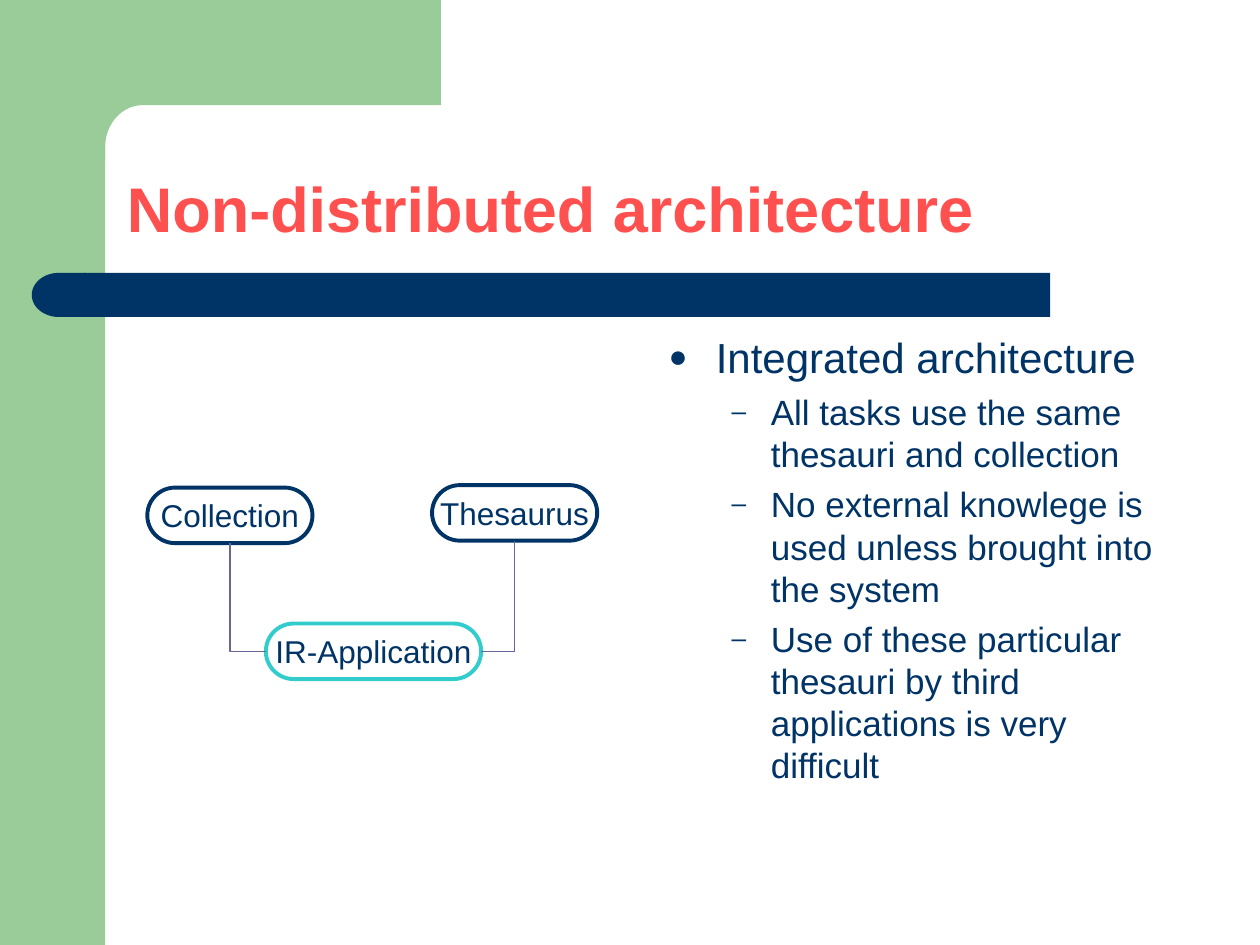
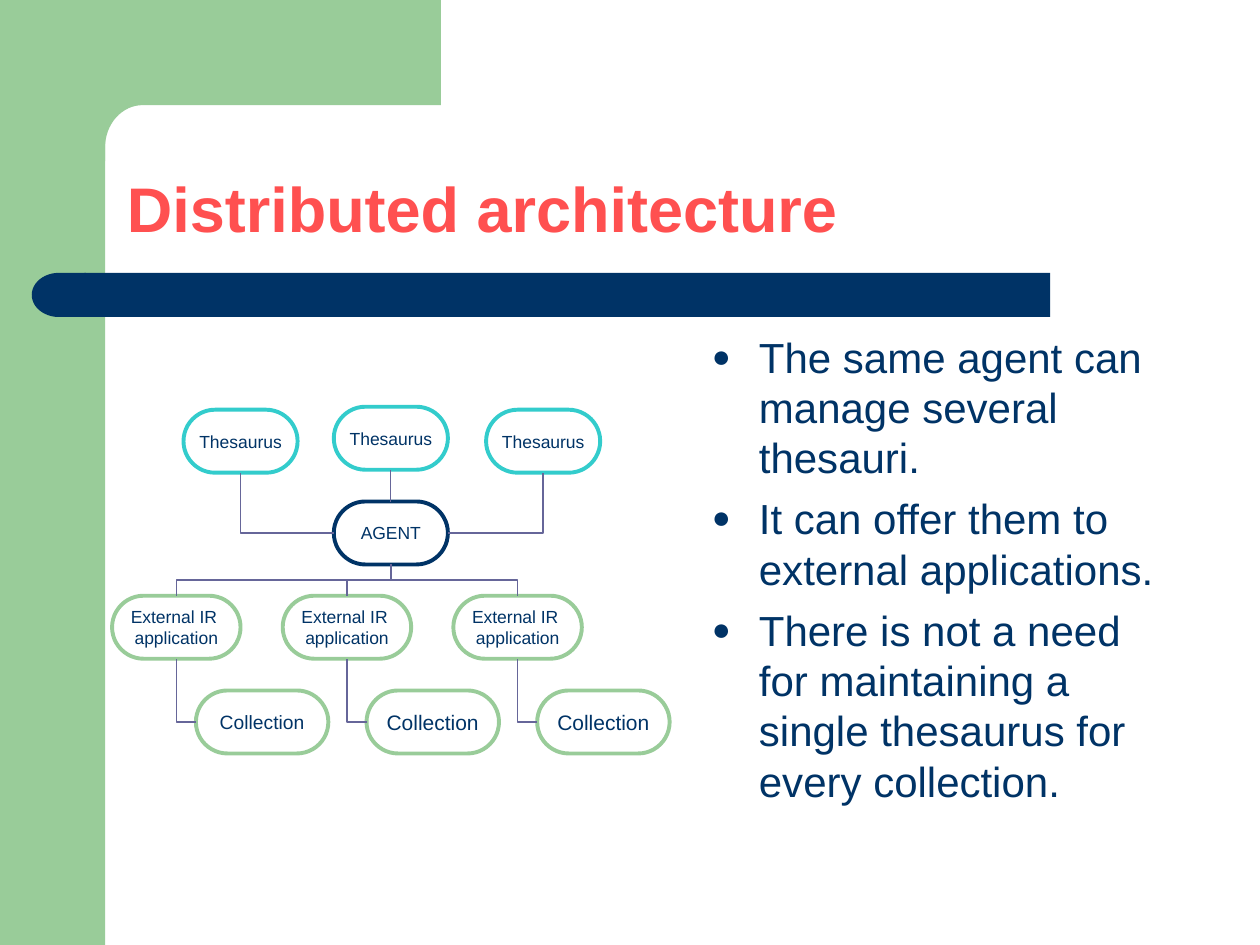
from dataclasses import dataclass
from math import cos, pi, sin

from lxml import etree
from pptx import Presentation
from pptx import util as u
from pptx.dml import color
from pptx.enum import shapes, text
from pptx.oxml import ns

Cm, Pt = u.Cm, u.Pt
Kind = shapes.MSO_SHAPE
TOP, LEFT, BASE, RIGHT = range(4)  # connection sites of a rounded box


@dataclass(frozen=True)
class Theme:
    font: str = "Arial"
    navy: str = "003366"
    green: str = "99CC99"
    teal: str = "33CCCC"
    red: str = "FF5050"
    link: str = "666699"
    head: int = 36
    main: int = 24
    sub: int = 20
    node: int = 18
    small: int = 10


class Deck:
    def __init__(self, theme):
        self.theme = theme
        self.prs = Presentation()
        self.prs.slide_width, self.prs.slide_height = Cm(25.4), Cm(19.05)
        self.slide = None

    def page(self, title):
        """Start a slide with its frame and title."""
        self.slide = self.prs.slides.add_slide(self.prs.slide_layouts[6])
        t = self.theme
        self.block(Kind.RECTANGLE, 0, 0, 2.12, 19.05, t.green)
        self.corner()
        self.block(Kind.RECTANGLE, 1.7, 5.5, 19.47, 0.89, t.navy)
        self.block(Kind.FLOWCHART_DELAY, 0.64, 5.5, 1.09, 0.89, t.navy).rotation = 180
        frame = self.box(2.31, 2.31, 21.62, 2.77)
        frame.vertical_anchor = text.MSO_ANCHOR.BOTTOM
        para = frame.paragraphs[0]
        para.line_spacing = 0.9
        self.run(para, title, t.head, t.red, bold=True)

    def paint(self, shape, fill):
        shape.shadow.inherit = False
        shape.fill.solid()
        shape.fill.fore_color.rgb = color.RGBColor.from_string(fill)
        shape.line.fill.background()

    def block(self, kind, x, y, w, h, fill):
        shape = self.slide.shapes.add_shape(kind, Cm(x), Cm(y), Cm(w), Cm(h))
        self.paint(shape, fill)
        return shape

    def corner(self):
        """Top band whose inner corner is rounded."""
        steps = 16
        turns = [pi / 2 * i / steps for i in range(steps + 1)]
        curve = [(2.88 - 0.76 * sin(a), 2.97 - 0.85 * cos(a)) for a in turns]
        spots = [(8.89, 2.12), *curve, (2.12, 3.25), (1.27, 3.25), (1.27, 0)]
        form = self.slide.shapes.build_freeform(Cm(8.89), 0)
        form.add_line_segments([(Cm(x), Cm(y)) for x, y in spots])
        self.paint(form.convert_to_shape(), self.theme.green)

    def box(self, x, y, w, h):
        frame = self.slide.shapes.add_textbox(Cm(x), Cm(y), Cm(w), Cm(h)).text_frame
        frame.word_wrap = True
        return frame

    def run(self, para, words, size, tint, bold=False):
        run = para.add_run()
        run.text = words
        font = run.font
        font.name, font.size, font.bold = self.theme.font, Pt(size), bold
        font.color.rgb = color.RGBColor.from_string(tint)

    def bullets(self, x, w, items):
        """Fill the body with (level, words) pairs."""
        t = self.theme
        looks = [("●", t.main, 0.95, 0.95, 6), ("–", t.sub, 2.06, 0.79, 5)]
        frame = self.box(x, 6.55, w, 10.34)
        for i, (level, words) in enumerate(items):
            mark, size, left, hang, gap = looks[level]
            para = frame.add_paragraph() if i else frame.paragraphs[0]
            para.level, para.space_before = level, Pt(gap)
            props = para._p.get_or_add_pPr()
            props.set("marL", str(Cm(left)))
            props.set("indent", str(-Cm(hang)))
            tint = etree.SubElement(props, ns.qn("a:buClr"))
            etree.SubElement(tint, ns.qn("a:srgbClr"), val=t.navy)
            etree.SubElement(props, ns.qn("a:buSzPct"), val="75000")
            etree.SubElement(props, ns.qn("a:buFont"), typeface=t.font)
            etree.SubElement(props, ns.qn("a:buChar"), char=mark)
            self.run(para, words, size, t.navy)

    def node(self, lines, x, y, w, h, edge, size):
        """Outlined pill with centred text."""
        shape = self.slide.shapes.add_shape(
            Kind.ROUNDED_RECTANGLE, Cm(x), Cm(y), Cm(w), Cm(h))
        shape.shadow.inherit = False
        shape.adjustments[0] = 0.5
        shape.fill.background()
        shape.line.color.rgb = color.RGBColor.from_string(edge)
        shape.line.width = Pt(2.25)
        frame = shape.text_frame
        frame.word_wrap = False
        frame.vertical_anchor = text.MSO_ANCHOR.MIDDLE
        frame.margin_left = frame.margin_right = Cm(0.1)
        frame.margin_top = frame.margin_bottom = Cm(0.05)
        for i, words in enumerate(lines):
            para = frame.add_paragraph() if i else frame.paragraphs[0]
            para.alignment = text.PP_ALIGN.CENTER
            self.run(para, words, size, self.theme.navy)
        return shape

    def link(self, start, out, end, into, kind=shapes.MSO_CONNECTOR.STRAIGHT):
        """Line glued to a site of each node."""
        line = self.slide.shapes.add_connector(kind, 0, 0, 0, 0)
        line.begin_connect(start, out)
        line.end_connect(end, into)
        line.line.color.rgb = color.RGBColor.from_string(self.theme.link)
        line.line.width = Pt(0.75)
        etree.SubElement(line._element.spPr, ns.qn("a:effectLst"))
        return line

    def bend(self, start, out, end, into):
        """One-corner link: sideways first, then up."""
        line = self.link(start, out, end, into, shapes.MSO_CONNECTOR.ELBOW)
        line._element.spPr.find(ns.qn("a:prstGeom")).set("prst", "bentConnector2")

    def drop(self, start, end):
        """Two-corner link: down, across, down."""
        line = self.link(start, BASE, end, TOP, shapes.MSO_CONNECTOR.ELBOW)
        right = line.end_x > line.begin_x
        x, y, w, h = line.left, line.top, line.width, line.height
        line.left, line.top = x + (w - h) // 2, y + (h - w) // 2
        line.width, line.height = h, w
        frame = line._element.spPr.find(ns.qn("a:xfrm"))
        frame.attrib.pop("flipV", None)
        frame.attrib.pop("flipH", None)
        frame.set("rot", "16200000" if right else "5400000")
        if right:
            frame.set("flipH", "1")


def single(deck):
    t = deck.theme
    deck.page("Non-distributed architecture")
    # Diagram
    app = deck.node(["IR-Application"], 5.36, 12.57, 4.34, 1.12, t.teal, t.node)
    store = deck.node(["Collection"], 2.97, 9.83, 3.33, 1.12, t.navy, t.node)
    words = deck.node(["Thesaurus"], 8.71, 9.78, 3.33, 1.12, t.navy, t.node)
    deck.bend(app, LEFT, store, BASE)
    deck.bend(app, RIGHT, words, BASE)
    # Body
    deck.bullets(13.23, 10.46, [
        (0, "Integrated architecture"),
        (1, "All tasks use the same thesauri and collection"),
        (1, "No external knowlege is used unless brought into the system"),
        (1, "Use of these particular thesauri by third applications is very difficult"),
    ])


def spread(deck):
    t = deck.theme
    deck.page("Distributed architecture")
    # Thesauri around the agent
    agent = deck.node(["AGENT"], 6.73, 10.11, 2.3, 1.27, t.navy, t.small)
    left, mid, right = [
        deck.node(["Thesaurus"], x, y, 2.3, 1.27, t.teal, t.small)
        for x, y in [(3.7, 8.26), (6.73, 8.2), (9.8, 8.26)]]
    deck.bend(agent, LEFT, left, BASE)
    deck.link(agent, TOP, mid, BASE)
    deck.bend(agent, RIGHT, right, BASE)
    # Applications, each with its collection
    for i, size in enumerate([11, 12, 12]):
        step = 3.44 * i
        app = deck.node(["External IR ", "application"],
                        2.26 + step, 12.01, 2.59, 1.27, t.green, t.small)
        store = deck.node(["Collection"], 3.95 + step, 13.92, 2.67, 1.27, t.green, size)
        deck.drop(agent, app)
        deck.bend(store, LEFT, app, BASE)
    # Body
    deck.bullets(14.1, 9.6, [
        (0, "The same agent can manage several thesauri."),
        (0, "It can offer them to external applications."),
        (0, "There is not a need for maintaining a single thesaurus for every collection."),
    ])


def main():
    deck = Deck(Theme())
    single(deck)
    spread(deck)
    deck.prs.save("out.pptx")


if __name__ == "__main__":
    main()
